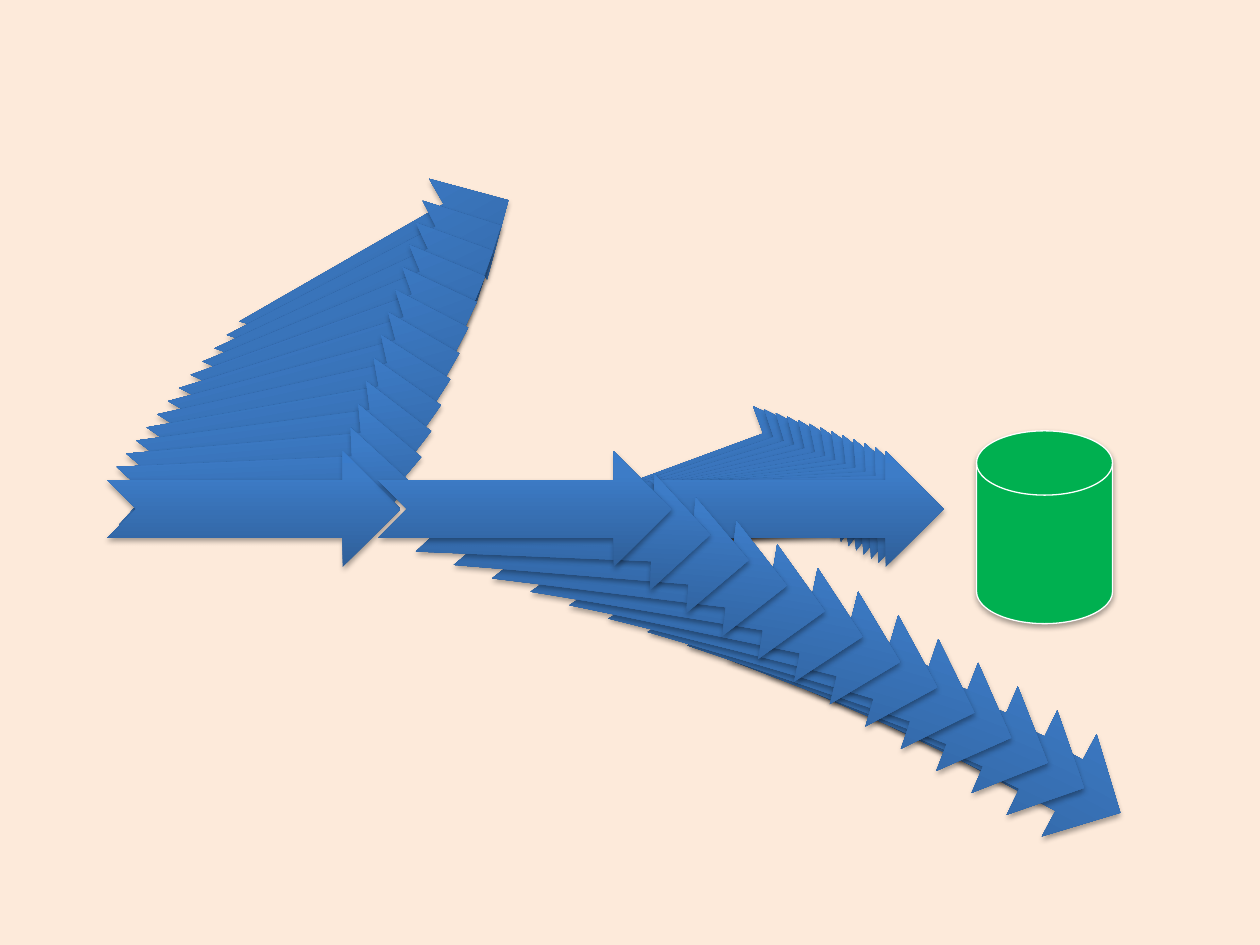
from copy import deepcopy

from lxml.etree import SubElement
from pptx import Presentation
from pptx.dml.color import RGBColor
from pptx.enum.shapes import MSO_SHAPE
from pptx.oxml.ns import qn
from pptx.util import Inches, Pt

STEPS = 12
GRADIENT = [(0, "2F5F99"), (0.8, "3D7CC7"), (1, "3A7CCB")]

deck = Presentation()
deck.slide_width, deck.slide_height = Inches(10), Inches(7.5)
column, row = deck.slide_width / 100, deck.slide_height / 75
slide = deck.slides.add_slide(deck.slide_layouts[6])


def paint(color, hex_code):
    color.rgb = RGBColor.from_string(hex_code)


def add_shadowed(preset, left, top, width, height):
    shape = slide.shapes.add_shape(
        preset, round(left * column), round(top * row),
        round(width * column), round(height * row))
    shape.shadow.inherit = False
    effects = shape._element.spPr.find(qn("a:effectLst"))
    shadow = SubElement(effects, qn("a:outerShdw"), blurRad="40000",
                        dist="23000", dir="5400000", rotWithShape="0")
    black = SubElement(shadow, qn("a:srgbClr"), val="000000")
    SubElement(black, qn("a:alpha"), val="35000")
    return shape


slide.background.fill.solid()
paint(slide.background.fill.fore_color, "FDEADA")

fans = [
    ((18.6, 17.1, -29.9), (8.5, 35.8, 0)),
    ((43.1, 34.4, -20.2), (51.6, 35.8, 0)),
    ((67, 54.4, 28.2), (30, 35.8, 0)),
]
outermost = [(fan, 0) for fan in fans]
followers = [(fan, step) for fan in fans for step in range(1, STEPS + 1)]

for (start, end), step in outermost + followers:
    left, top, angle = [a + (b - a) * step / STEPS for a, b in zip(start, end)]
    arrow = add_shadowed(MSO_SHAPE.NOTCHED_RIGHT_ARROW, left, top, 23.3, 9.2)
    arrow.rotation = angle
    arrow.line.fill.background()
    arrow.fill.gradient()
    arrow.fill.gradient_angle = 90
    stops = arrow._element.spPr.find(qn("a:gradFill")).find(qn("a:gsLst"))
    stops.append(deepcopy(stops[0]))
    for stop, (position, shade) in zip(arrow.fill.gradient_stops, GRADIENT):
        stop.position = position
        paint(stop.color, shade)

    if (start, end) == fans[-1][:2] and step == 0:
        target = add_shadowed(MSO_SHAPE.FLOWCHART_MAGNETIC_DISK, 77.5, 34.2, 10.8, 15.3)
        target.fill.solid()
        paint(target.fill.fore_color, "00B050")
        paint(target.line.color, "FFFFFF")
        target.line.width = Pt(0.75)

deck.save("out.pptx")
